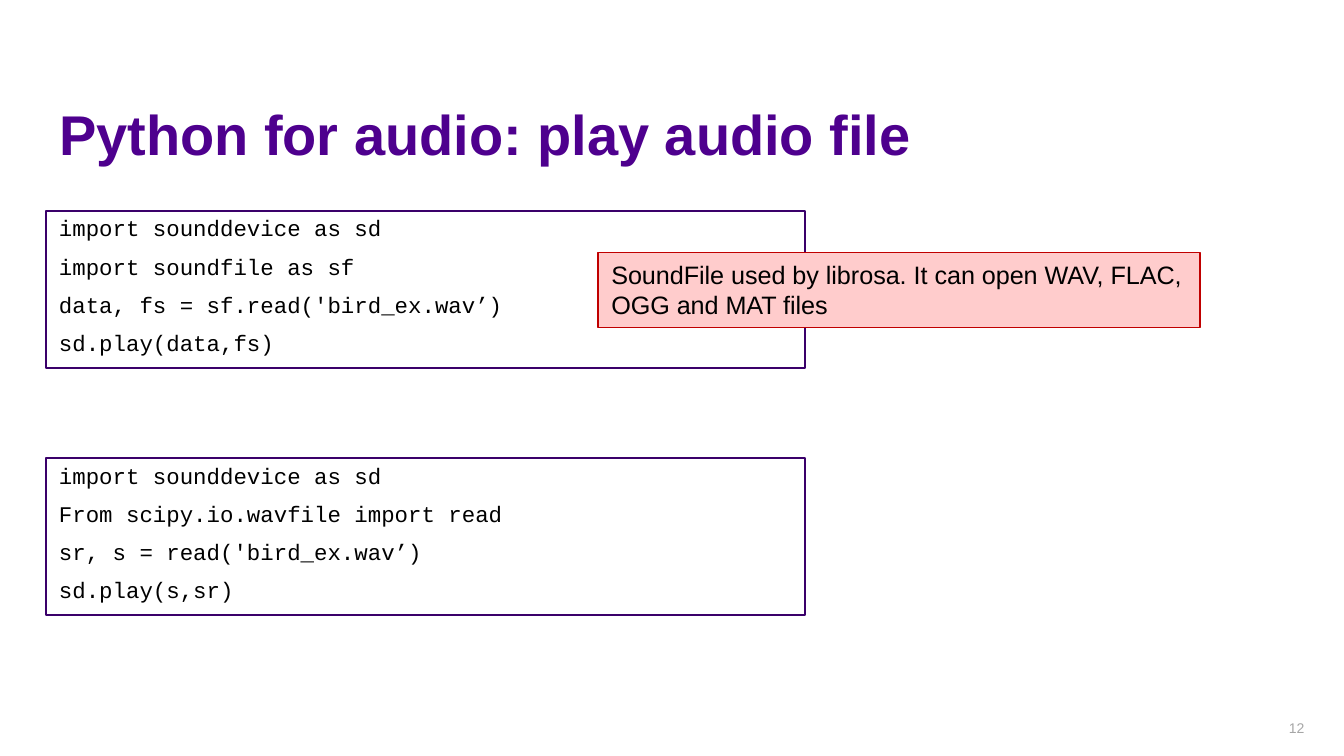
"""Build a slide showing two ways to play an audio file in Python."""
import pptx
import pptx.dml.color
import pptx.enum.shapes
import pptx.enum.text
import pptx.util

Inches = pptx.util.Inches
Pt = pptx.util.Pt
RGBColor = pptx.dml.color.RGBColor
ANCHOR = pptx.enum.text.MSO_ANCHOR
ALIGN = pptx.enum.text.PP_ALIGN

PURPLE = RGBColor(0x4E, 0x00, 0x8E)
DARK_PURPLE = RGBColor(0x3A, 0x00, 0x6A)
PINK = RGBColor(0xFF, 0xCC, 0xCC)
RED = RGBColor(0xC0, 0x00, 0x00)
GREY = RGBColor(0xA6, 0xA6, 0xA6)
BLACK = RGBColor(0x00, 0x00, 0x00)

TITLE_FONT = {"name": "Arial", "size": Pt(30), "bold": True}
CODE_FONT = {"name": "Courier New", "size": Pt(12)}
NOTE_FONT = {"name": "Arial", "size": Pt(13.5)}
NUMBER_FONT = {"name": "Arial", "size": Pt(7.5)}

SOUNDFILE_CODE = [
    "import sounddevice as sd",
    "import soundfile as sf",
    "data, fs = sf.read('bird_ex.wav’)",
    "sd.play(data,fs)",
]
SCIPY_CODE = [
    "import sounddevice as sd",
    "From scipy.io.wavfile import read",
    "sr, s = read('bird_ex.wav’)",
    "sd.play(s,sr)",
]


def set_attributes(target, values):
    """Set each named attribute of the target."""
    for name, value in values.items():
        setattr(target, name, value)


def write_lines(shape, lines, font, color, anchor=ANCHOR.TOP, spacing=1.0, gap=0):
    """Write one left-aligned paragraph per line."""
    frame = shape.text_frame
    frame.text = "\n".join(lines)
    set_attributes(frame, {
        "word_wrap": True,
        "auto_size": pptx.enum.text.MSO_AUTO_SIZE.NONE,
        "vertical_anchor": anchor,
    })
    for index, paragraph in enumerate(frame.paragraphs):
        set_attributes(paragraph, {
            "alignment": ALIGN.LEFT,
            "line_spacing": spacing,
            "space_before": Pt(gap if index else 0),
        })
        set_attributes(paragraph.font, font)
        paragraph.font.color.rgb = color


def add_title(slide, text):
    """Place and format the title placeholder."""
    title = slide.shapes.title
    set_attributes(title, {
        "left": Inches(0.34), "top": Inches(0.76),
        "width": Inches(8.74), "height": Inches(0.53),
    })
    write_lines(title, [text], TITLE_FONT, PURPLE, ANCHOR.MIDDLE, 0.9)


def add_box(slide, left, top, width, height, line_color, line_width, fill_color=None):
    """Add an outlined rectangle with an optional fill."""
    box = slide.shapes.add_shape(
        pptx.enum.shapes.MSO_SHAPE.RECTANGLE,
        Inches(left), Inches(top), Inches(width), Inches(height))
    box.shadow.inherit = False
    if fill_color is None:
        box.fill.background()
    else:
        box.fill.solid()
        box.fill.fore_color.rgb = fill_color
    box.line.color.rgb = line_color
    box.line.width = Pt(line_width)
    return box


def add_code(slide, top, lines):
    """Add a framed code listing."""
    box = add_box(slide, 0.34, top, 5.65, 1.17, DARK_PURPLE, 1)
    write_lines(box, lines, CODE_FONT, BLACK, spacing=0.9, gap=7.5)


def add_note(slide, text):
    """Add the highlighted remark."""
    box = add_box(slide, 4.45, 1.88, 4.48, 0.56, RED, 0.75, PINK)
    write_lines(box, [text], NOTE_FONT, BLACK)


def add_slide_number(slide, text):
    """Add the slide number in the bottom right corner."""
    box = slide.shapes.add_textbox(
        Inches(9.59), Inches(5.32), Inches(0.31), Inches(0.21))
    box.text_frame.margin_left = 0
    write_lines(box, [text], NUMBER_FONT, GREY, ANCHOR.BOTTOM)


def main():
    """Build and save the presentation."""
    presentation = pptx.Presentation()
    presentation.slide_width = Inches(10)
    presentation.slide_height = Inches(10) * 9 // 16
    slide = presentation.slides.add_slide(presentation.slide_layouts[5])
    add_title(slide, "Python for audio: play audio file")
    add_slide_number(slide, "12")
    add_code(slide, 1.57, SOUNDFILE_CODE)
    add_note(slide, "SoundFile used by librosa. It can open WAV, FLAC, OGG and MAT files")
    add_code(slide, 3.41, SCIPY_CODE)
    presentation.save("out.pptx")


if __name__ == "__main__":
    main()
